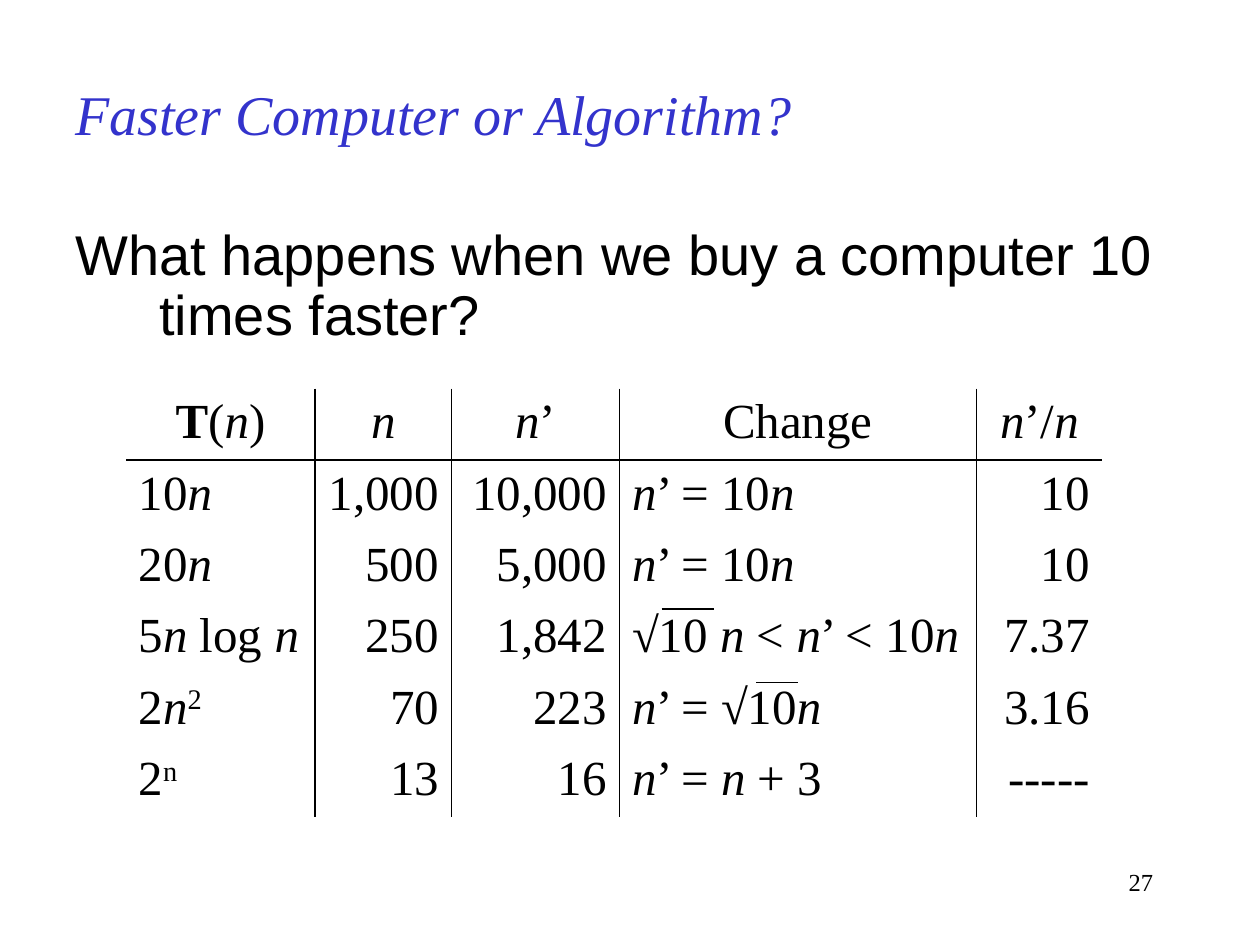
from dataclasses import dataclass

from lxml.etree import SubElement
from pptx import Presentation
from pptx.dml.color import RGBColor
from pptx.enum.shapes import MSO_CONNECTOR as Connector
from pptx.enum.text import MSO_ANCHOR as Anchor, PP_ALIGN as Align
from pptx.oxml.ns import qn
from pptx.util import Inches, Pt


@dataclass(frozen=True)
class Theme:
    ink: str = "000000"
    accent: str = "3333CC"
    serif: str = "Times New Roman"
    sans: str = "Arial"
    heading_size: int = 32
    table_size: int = 28
    number_size: int = 14
    border: float = 1
    overline: float = 0.75


THEME = Theme()
UNIT = Inches(1) / 12  # the grid has 120 columns and 90 rows

MARKS = {"*": "bold", "_": "italic", "^": "superscript"}
HEADER = ["*T*(_n_)", "_n_", "_n_’", "Change", "_n_’/_n_"]
GROWTH_ROWS = [
    ["10_n_", "1,000", "10,000", "_n_’ = 10_n_", "10"],
    ["20_n_", "500", "5,000", "_n_’ = 10_n_", "10"],
    ["5_n_ log _n_", "250", "1,842", "√10 _n_ < _n_’ < 10_n_", "7.37"],
    ["2_n_^2^", "70", "223", "_n_’ = √10_n_", "3.16"],
    ["2^n^", "13", "16", "_n_’ = _n_ + 3", "-----"],
]
COLUMN_WIDTHS = [18, 13, 16, 34, 12]
COLUMN_ALIGNS = [Align.LEFT, Align.RIGHT, Align.RIGHT, Align.LEFT, Align.RIGHT]
ROW_HEIGHT = 6.8
ROOT_OVERLINES = [(63, 68, 58), (72, 76, 65)]


def grid(*values):
    return [round(value * UNIT) for value in values]


def apply(target, values):
    for name, value in values.items():
        setattr(target, name, value)


def split_marks(text):
    """Yield (piece, active styles); each mark switches its style on or off."""
    piece, styles = "", set()
    for letter in text:
        if letter in MARKS:
            if piece:
                yield piece, set(styles)
            piece = ""
            styles ^= {MARKS[letter]}
        else:
            piece += letter
    if piece:
        yield piece, styles


class SlideBuilder:
    def __init__(self, slide, theme):
        self.slide = slide
        self.theme = theme

    def add_runs(self, paragraph, text, size, font=None, color=None, italic=False):
        for piece, styles in split_marks(text):
            run = paragraph.add_run()
            run.text = piece
            apply(run.font, {
                "name": font or self.theme.serif,
                "size": Pt(size),
                "bold": "bold" in styles,
                "italic": italic or "italic" in styles,
            })
            run.font.color.rgb = RGBColor.from_string(color or self.theme.ink)
            if "superscript" in styles:
                run.font._element.set("baseline", "30000")

    def text(self, box, text, size, anchor=Anchor.TOP, hanging=0, layout=None, **style):
        frame = self.slide.shapes.add_textbox(*grid(*box)).text_frame
        apply(frame, {"word_wrap": True, "vertical_anchor": anchor})
        paragraph = frame.paragraphs[0]
        if hanging:
            indent, = grid(hanging)
            properties = paragraph._p.get_or_add_pPr()
            properties.set("marL", str(indent))
            properties.set("indent", str(-indent))
        apply(paragraph, layout or {})
        self.add_runs(paragraph, text, size, **style)

    def set_borders(self, cell, visible):
        """Draw the sides named in visible and clear the other ones."""
        properties = cell._tc.get_or_add_tcPr()
        for side in "LRTB":
            line = SubElement(properties, qn(f"a:ln{side}"), w=str(Pt(self.theme.border)))
            if side in visible:
                fill = SubElement(line, qn("a:solidFill"))
                SubElement(fill, qn("a:srgbClr"), val=self.theme.ink)
            else:
                SubElement(line, qn("a:noFill"))

    def table(self, left, top, rows, widths, aligns, row_height):
        """Build a table ruled between its columns and below its header."""
        box = grid(left, top, sum(widths), row_height * len(rows))
        table = self.slide.shapes.add_table(len(rows), len(widths), *box).table
        apply(table, {"first_row": False, "horz_banding": False})
        for column, width in zip(table.columns, grid(*widths)):
            column.width = width
        for row_index, row in enumerate(rows):
            table.rows[row_index].height, = grid(row_height)
            for column_index, text in enumerate(row):
                cell = table.cell(row_index, column_index)
                sides = {
                    "L": column_index > 0,
                    "R": column_index < len(row) - 1,
                    "T": row_index == 1,
                    "B": row_index == 0,
                }
                self.set_borders(cell, [side for side, shown in sides.items() if shown])
                cell.fill.background()
                paragraph = cell.text_frame.paragraphs[0]
                paragraph.alignment = aligns[column_index] if row_index else Align.CENTER
                self.add_runs(paragraph, text, self.theme.table_size)

    def overline(self, start, end, row):
        line = self.slide.shapes.add_connector(
            Connector.STRAIGHT, *grid(start, row, end, row))
        line.line.color.rgb = RGBColor.from_string(self.theme.ink)
        line.line.width = Pt(self.theme.overline)
        SubElement(line._element.spPr, qn("a:effectLst"))


def main():
    presentation = Presentation()
    presentation.slide_width, presentation.slide_height = grid(120, 90)
    slide = presentation.slides.add_slide(presentation.slide_layouts[6])
    builder = SlideBuilder(slide, THEME)

    builder.text((86, 82, 25, 6), "27", THEME.number_size,
                 layout={"alignment": Align.RIGHT})
    builder.text((6, 4.8, 108, 12), "Faster Computer or Algorithm?", THEME.heading_size,
                 anchor=Anchor.MIDDLE, color=THEME.accent, italic=True)
    builder.text((6, 21, 108, 60), "What happens when we buy a computer 10 times faster?",
                 THEME.heading_size, hanging=8, layout={"line_spacing": 0.9},
                 font=THEME.sans)
    builder.table(12, 37, [HEADER, *GROWTH_ROWS], COLUMN_WIDTHS, COLUMN_ALIGNS, ROW_HEIGHT)
    for start, end, row in ROOT_OVERLINES:
        builder.overline(start, end, row)

    presentation.save("out.pptx")


if __name__ == "__main__":
    main()
